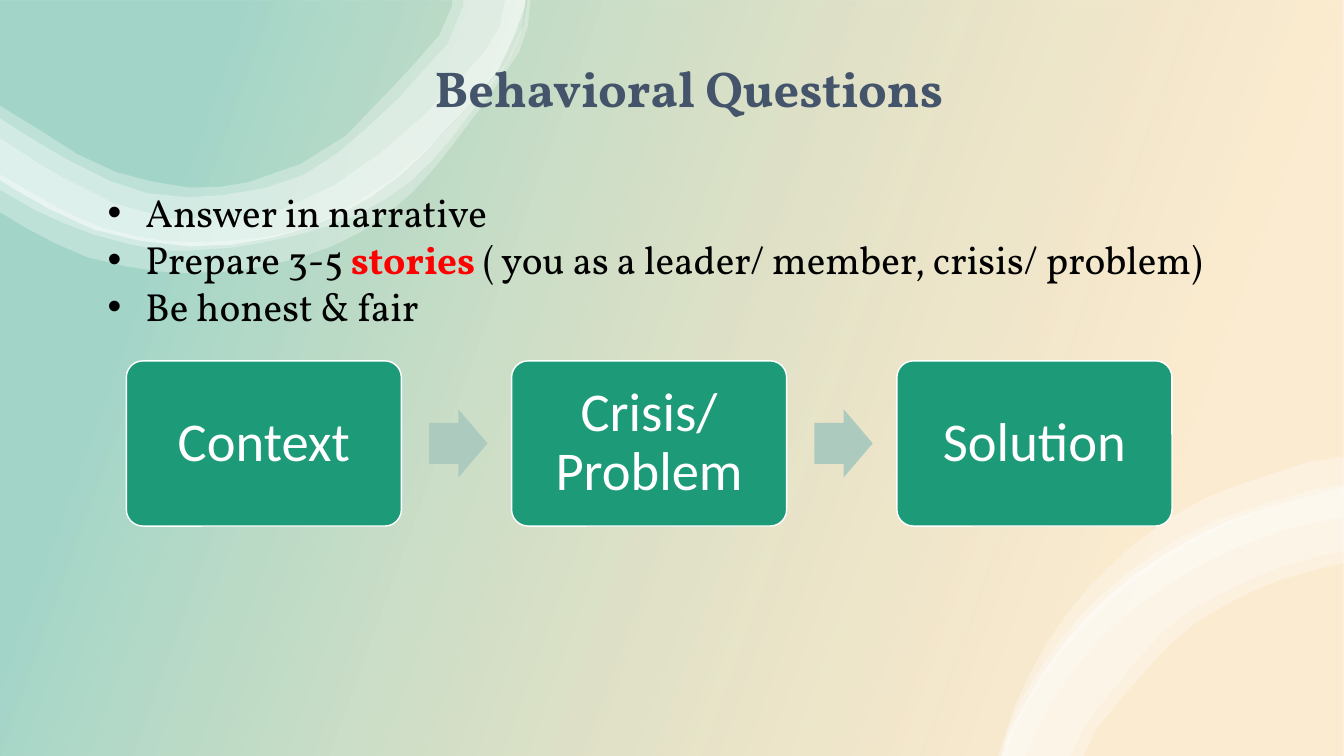
import math

from lxml import etree
from pptx import Presentation
from pptx.dml.color import RGBColor
from pptx.enum import shapes, text
from pptx.oxml.ns import qn
from pptx.util import Pt

COLORS = {
    "orange": "F19D19", "green": "1D9A78", "arrow": "ACCABE", "white": "FFFFFF",
    "title": "44546A", "black": "000000", "red": "FF0000",
}
WIDTH, HEIGHT = 960, 540
CHORD = 28
RIBBON_OPACITY = 30

# Each band is a pair of edges, there and back, in points.
TOP_OUTER = [(375, -1), (375, 4), (356, 50), (320, 91), (285, 126), (243, 153),
             (194, 170), (135, 176), (67, 164), (10, 135), (-1, 128)]
TOP_RIBBON = [
    ([(379, -1), (377, 19), (371, 37), (348, 71), (323, 104), (295, 137), (259, 165),
      (215, 184), (165, 194), (133, 195), (114, 194), (63, 184), (19, 163), (-1, 151)],
     [(-1, 124), (35, 145), (74, 163), (117, 172), (139, 173), (184, 170), (227, 159),
      (282, 127), (313, 99), (342, 68), (362, 45), (374, 18), (377, -1)]),
    ([(376, -1), (372, 24), (364, 43), (346, 68), (323, 98), (294, 129), (256, 153),
      (212, 168), (165, 177), (135, 179), (116, 179), (68, 168), (25, 150), (-1, 135)],
     [(-1, 98), (28, 117), (45, 127), (81, 145), (120, 156), (145, 156), (183, 153),
      (203, 149), (239, 132), (271, 110), (300, 85), (328, 57), (347, 36), (357, 19),
      (361, -1)]),
    (TOP_OUTER,
     [(-1, 84), (21, 98), (78, 129), (135, 141), (217, 125), (284, 71), (300, 53),
      (320, 31), (331, 4), (331, -1)]),
    (TOP_OUTER,
     [(-1, 75), (27, 92), (55, 110), (83, 123), (135, 134), (178, 130), (215, 117),
      (247, 97), (276, 67), (293, 49), (314, 25), (323, 4), (323, -1)]),
]
BOTTOM_OUTER = [(716, 540), (721, 523), (758, 462), (811, 410), (878, 372),
                (952, 350), (960, 348)]
BOTTOM_RIBBON = [
    ([(713, 540), (725, 504), (748, 459), (778, 419), (806, 392), (816, 384),
      (860, 356), (935, 330), (960, 326)],
     [(960, 349), (917, 359), (872, 377), (829, 401), (810, 415), (791, 431),
      (758, 466), (732, 506), (724, 523), (718, 540)]),
    (BOTTOM_OUTER,
     [(960, 402), (915, 414), (874, 433), (837, 459), (783, 521), (774, 540)]),
    ([(715, 540), (719, 523), (729, 501), (754, 461), (787, 425), (825, 395),
      (868, 372), (940, 349), (960, 346)],
     [(960, 369), (922, 377), (879, 393), (838, 415), (802, 441), (771, 473),
      (746, 510), (732, 540)]),
    (BOTTOM_OUTER,
     [(960, 393), (912, 406), (869, 426), (831, 451), (775, 518), (765, 540)]),
]

STEPS = ["Context", "Crisis/ Problem", "Solution"]
BULLETS = [
    [("Answer in narrative", False)],
    [("Prepare 3-5 ", False), ("stories", True),
     (" ( you as a leader/ member, crisis/ problem)", False)],
    [("Be honest & fair", False)],
]


def rgb(name):
    return RGBColor.from_string(COLORS[name])


def set_opacity(shape, percentages):
    """Set the opacity of the shape's fill colours, in order."""
    for color, percent in zip(shape._element.spPr.iter(qn("a:srgbClr")), percentages):
        etree.SubElement(color, qn("a:alpha")).set("val", str(percent * 1000))


def style_font(font, name, size, color, bold=False):
    font.name, font.size, font.bold = name, Pt(size), bold
    font.color.rgb = rgb(color)


def style_shape(shape, fill=None):
    shape.shadow.inherit = False
    shape.line.fill.background()
    if fill:
        shape.fill.solid()
        shape.fill.fore_color.rgb = rgb(fill)


def add_preset(slide, kind, left, top, width, height, fill=None):
    shape = slide.shapes.add_shape(kind, Pt(left), Pt(top), Pt(width), Pt(height))
    style_shape(shape, fill)
    return shape


def add_backdrop(slide):
    shape = add_preset(slide, shapes.MSO_SHAPE.RECTANGLE, 0, 0, WIDTH, HEIGHT)
    shape.fill.gradient()
    shape.fill.gradient_angle = 160
    stops = [(0.16, "orange"), (0.85, "green")]
    for stop, (position, color) in zip(shape.fill.gradient_stops, stops):
        stop.position = position
        stop.color.rgb = rgb(color)
    set_opacity(shape, [20, 40])


def smooth(points):
    """Return a Catmull-Rom curve through the points, in chords of even length."""
    padded = [points[0], *points, points[-1]]
    curve = [points[0]]
    for a, b, c, d in zip(padded, padded[1:], padded[2:], padded[3:]):
        steps = max(1, round(math.dist(b, c) / CHORD))
        for step in range(1, steps + 1):
            t = step / steps
            curve.append(tuple(
                q + (r - p) * t / 2 + (2 * p - 5 * q + 4 * r - s) * t ** 2 / 2
                + (3 * q - p - 3 * r + s) * t ** 3 / 2
                for p, q, r, s in zip(a, b, c, d)))
    return curve


def add_ribbon(slide, bands):
    for edge, return_edge in bands:
        outline = [(Pt(x), Pt(y)) for x, y in smooth(edge) + smooth(return_edge)]
        builder = slide.shapes.build_freeform(*outline[0])
        builder.add_line_segments(outline[1:])
        shape = builder.convert_to_shape()
        style_shape(shape, "white")
        set_opacity(shape, [RIBBON_OPACITY])


def place_title(slide, wording):
    title = slide.shapes.title
    title.left, title.top, title.width, title.height = Pt(162.7), Pt(18.7), Pt(666), Pt(92.9)
    frame = title.text_frame
    frame.text = wording
    frame.vertical_anchor = text.MSO_ANCHOR.MIDDLE
    paragraph = frame.paragraphs[0]
    paragraph.alignment = text.PP_ALIGN.CENTER
    paragraph.line_spacing = 0.9
    style_font(paragraph.runs[0].font, "Vollkorn", 36, "title", True)
    slide.shapes._spTree.append(title._element)  # in front of the ribbons


def add_step_box(slide, left, wording):
    box = add_preset(slide, shapes.MSO_SHAPE.ROUNDED_RECTANGLE,
                     left, 257.75, 196.5, 118, "green")
    box.adjustments[0] = 0.1
    box.line.color.rgb = rgb("white")
    box.line.width = Pt(1)
    frame = box.text_frame
    frame.word_wrap = True
    frame.margin_left = frame.margin_right = frame.margin_top = frame.margin_bottom = Pt(12)
    frame.vertical_anchor = text.MSO_ANCHOR.MIDDLE
    frame.text = wording
    paragraph = frame.paragraphs[0]
    paragraph.alignment = text.PP_ALIGN.CENTER
    paragraph.line_spacing = 0.9
    style_font(paragraph.runs[0].font, "Calibri", 39, "white")


def add_process(slide):
    pitch = 275.2
    for index, wording in enumerate(STEPS):
        left = 90.25 + index * pitch
        add_step_box(slide, left, wording)
        if index < len(STEPS) - 1:
            arrow = add_preset(slide, shapes.MSO_SHAPE.RIGHT_ARROW,
                               left + 216.25, 292.3, 41.7, 48.8, "arrow")
            arrow.adjustments[0] = 0.6


def add_bullets(slide):
    frame = slide.shapes.add_textbox(Pt(69.8), Pt(131), Pt(857.5), Pt(138)).text_frame
    frame.word_wrap = True
    for index, pieces in enumerate(BULLETS):
        paragraph = frame.add_paragraph() if index else frame.paragraphs[0]
        paragraph.alignment = text.PP_ALIGN.JUSTIFY
        properties = paragraph._p.get_or_add_pPr()
        properties.set("marL", str(Pt(27)))
        properties.set("indent", str(Pt(-27)))
        etree.SubElement(properties, qn("a:buFont")).set("typeface", "Arial")
        etree.SubElement(properties, qn("a:buChar")).set("char", "•")
        for wording, stressed in pieces:
            run = paragraph.add_run()
            run.text = wording
            style_font(run.font, "Vollkorn", 28, "red" if stressed else "black", stressed)


def main():
    presentation = Presentation()
    presentation.slide_width, presentation.slide_height = Pt(WIDTH), Pt(HEIGHT)
    slide = presentation.slides.add_slide(presentation.slide_layouts[5])
    add_backdrop(slide)
    add_ribbon(slide, TOP_RIBBON)
    place_title(slide, "Behavioral Questions ")
    add_ribbon(slide, BOTTOM_RIBBON)
    add_process(slide)
    add_bullets(slide)
    presentation.save("out.pptx")


if __name__ == "__main__":
    main()
